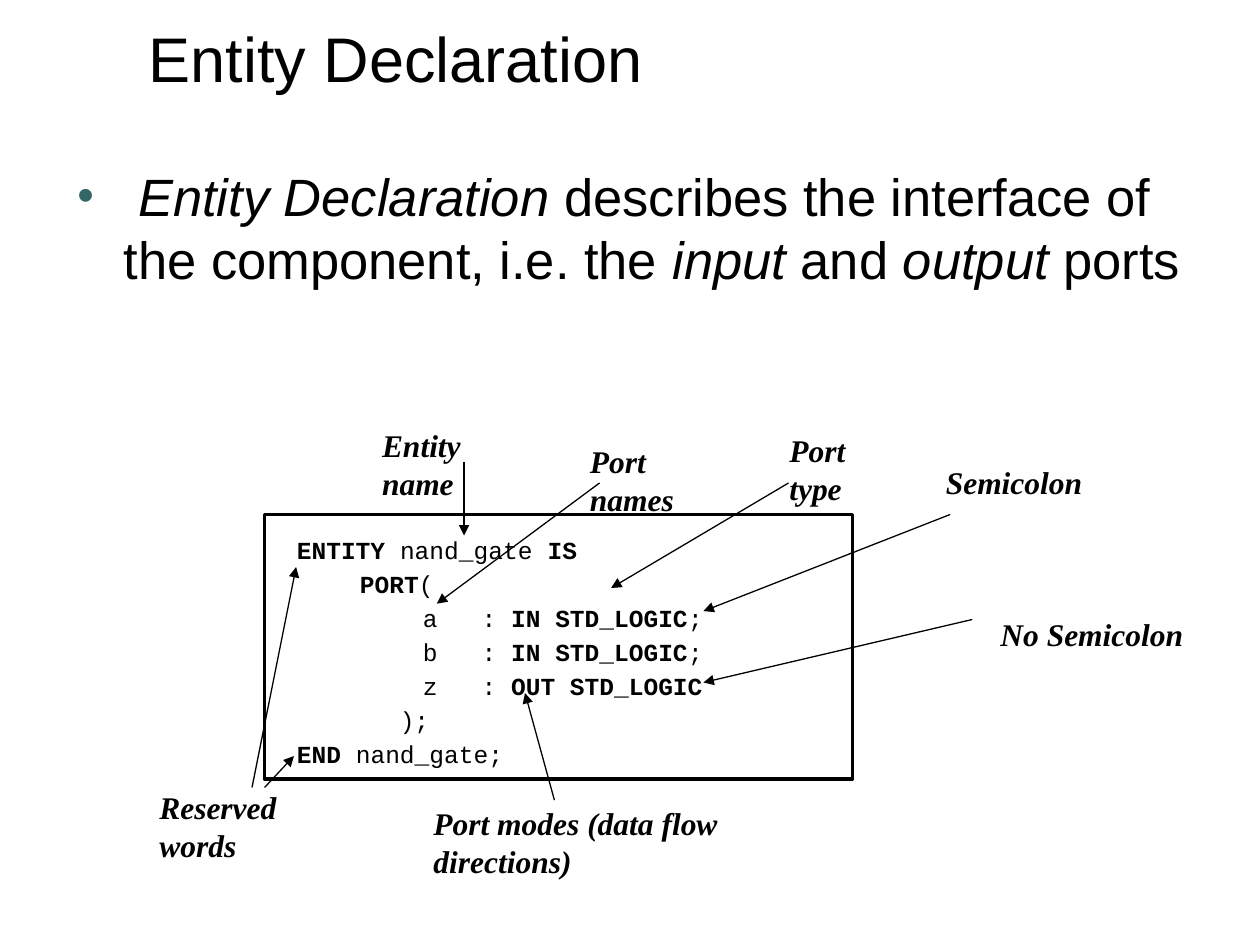
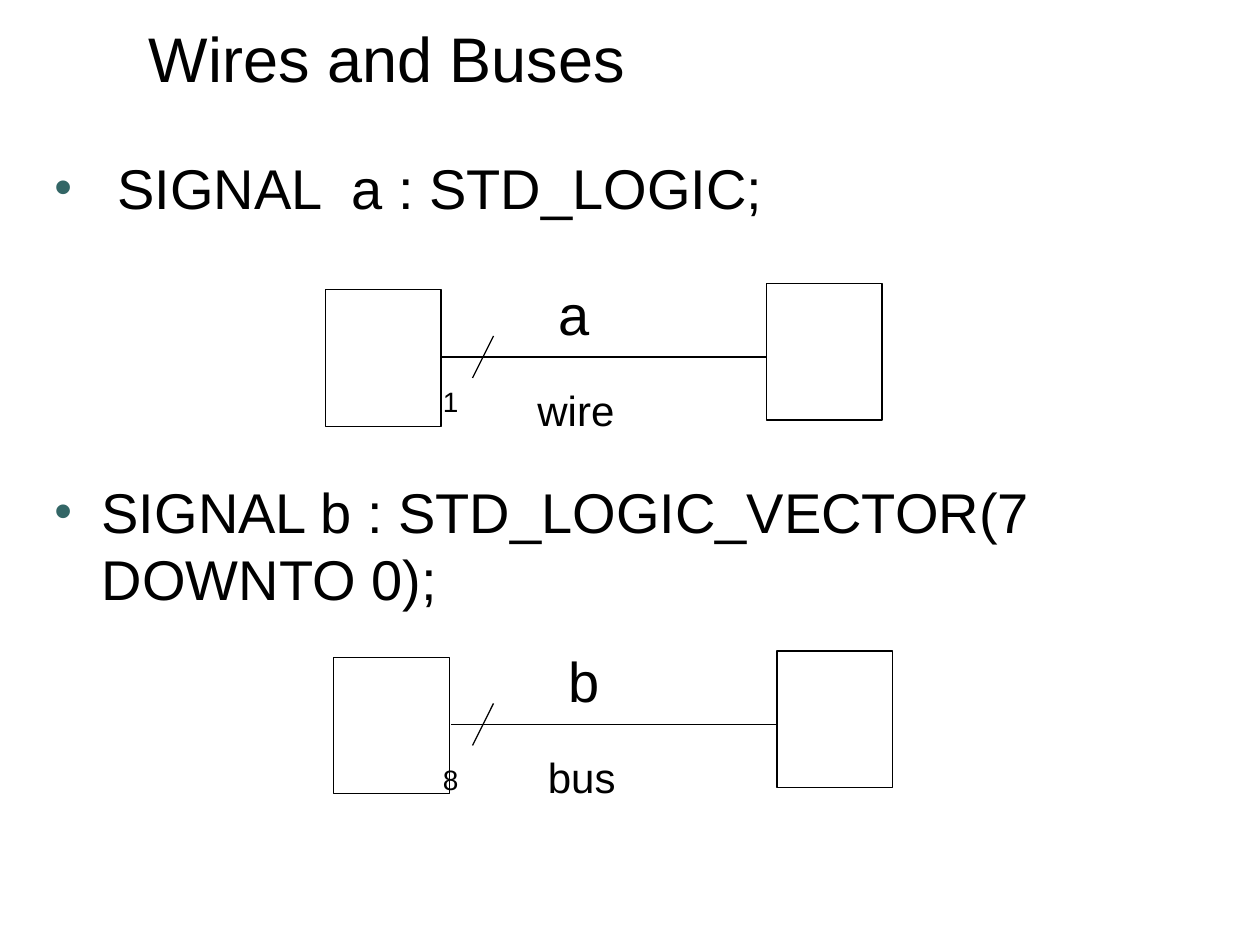
"""Builds two slides on VHDL entity declarations, wires and buses."""
import dataclasses

import pptx
import pptx.dml.color
import pptx.enum.shapes
import pptx.enum.text
import pptx.oxml
import pptx.oxml.ns
import pptx.util

EMU_PER_PX = 7620


@dataclasses.dataclass(frozen=True)
class Theme:
    ink: str = "000000"
    paper: str = "FFFFFF"
    bullet: str = "336666"
    sans: str = "Arial"
    serif: str = "Times New Roman"
    mono: str = "Courier New"
    title: int = 36
    definition: int = 30
    code: int = 14
    callout: int = 18
    signal: int = 32
    caption: int = 24
    width_mark: int = 16
    leading: float = 1.2
    thin: float = 0.75
    thick: float = 2


def px(length):
    return pptx.util.Emu(length * EMU_PER_PX)


def add_xml(parent, tag, **attributes):
    element = parent.makeelement(pptx.oxml.ns.qn(tag), attributes)
    parent.append(element)
    return element


class Deck:
    def __init__(self, theme):
        self.theme = theme
        self.presentation = pptx.Presentation()
        self.presentation.slide_width = px(1200)
        self.presentation.slide_height = px(900)
        self.slide = None

    def color(self, value):
        return pptx.dml.color.RGBColor.from_string(value)

    def start_slide(self, heading):
        self.slide = self.presentation.slides.add_slide(self.presentation.slide_layouts[6])
        self.slide.background.fill.solid()
        self.slide.background.fill.fore_color.rgb = self.color(self.theme.paper)
        frame = self.frame(130, 10, 1030, 90)
        frame.vertical_anchor = pptx.enum.text.MSO_ANCHOR.MIDDLE
        self.fill_paragraph(frame.paragraphs[0], heading, self.theme.title)

    def frame(self, left, top, width, height, wrap=True, grow=False):
        frame = self.slide.shapes.add_textbox(px(left), px(top), px(width), px(height)).text_frame
        frame.word_wrap = wrap
        sizing = pptx.enum.text.MSO_AUTO_SIZE
        frame.auto_size = sizing.SHAPE_TO_FIT_TEXT if grow else sizing.NONE
        frame.margin_left = frame.margin_right = px(12)
        frame.margin_top = frame.margin_bottom = px(6)
        return frame

    def fill_paragraph(self, paragraph, text, size, font=None, bold=False, italic=False,
                       emphasis=None, before=0, leading=None):
        """Fill a paragraph; parts between asterisks take the emphasis."""
        paragraph.line_spacing = pptx.util.Pt(round(size * (leading or self.theme.leading), 1))
        paragraph.space_before = pptx.util.Pt(before)
        for index, part in enumerate(text.split("*")):
            if not part:
                continue
            stressed = emphasis if index % 2 else None
            run = paragraph.add_run()
            run.text = part
            run.font.size = pptx.util.Pt(size)
            run.font.name = font or self.theme.sans
            run.font.color.rgb = self.color(self.theme.ink)
            run.font.bold = bold or stressed == "bold"
            run.font.italic = italic or stressed == "italic"

    def indent(self, paragraph, margin, first):
        properties = paragraph._p.get_or_add_pPr()
        properties.set("marL", str(px(margin)))
        properties.set("indent", str(px(first)))
        return properties

    def bullets(self, left, top, width, height, size, items, margin, hanging):
        frame = self.frame(left, top, width, height)
        for index, (text, before) in enumerate(items):
            paragraph = frame.add_paragraph() if index else frame.paragraphs[0]
            self.fill_paragraph(paragraph, text, size, emphasis="italic", before=before)
            properties = self.indent(paragraph, margin, -hanging)
            add_xml(add_xml(properties, "a:buClr"), "a:srgbClr", val=self.theme.bullet)
            add_xml(properties, "a:buSzPct", val="90000")
            add_xml(properties, "a:buFont", typeface=self.theme.sans)
            add_xml(properties, "a:buChar", char="•")

    def code(self, left, top, width, height, lines, stops):
        frame = self.frame(left, top, width, height, grow=True)
        for index, line in enumerate(lines):
            paragraph = frame.add_paragraph() if index else frame.paragraphs[0]
            self.fill_paragraph(paragraph, line, self.theme.code, self.theme.mono,
                                emphasis="bold", before=3.5, leading=1.14)
            tabs = add_xml(paragraph._p.get_or_add_pPr(), "a:tabLst")
            for stop in stops:
                add_xml(tabs, "a:tab", pos=str(px(stop)), algn="l")

    def callout(self, text, left, top, width):
        frame = self.frame(left, top, width, 48, wrap=False, grow=True)
        self.fill_paragraph(frame.paragraphs[0], text, self.theme.callout, self.theme.serif,
                            bold=True, italic=True)

    def label(self, text, size, left, top, width, height):
        frame = self.frame(left, top, width, height, wrap=False, grow=True)
        self.fill_paragraph(frame.paragraphs[0], text, size, before=size // 4)
        self.indent(frame.paragraphs[0], 150, -30)

    def box(self, left, top, width, height, weight):
        box = self.slide.shapes.add_shape(pptx.enum.shapes.MSO_SHAPE.RECTANGLE,
                                          px(left), px(top), px(width), px(height))
        box.shadow.inherit = False
        box.fill.background()
        box.line.color.rgb = self.color(self.theme.ink)
        box.line.width = pptx.util.Pt(weight)

    def line(self, x1, y1, x2, y2, arrow=False):
        line = self.slide.shapes.add_connector(pptx.enum.shapes.MSO_CONNECTOR.STRAIGHT,
                                               px(x1), px(y1), px(x2), px(y2))
        line.line.color.rgb = self.color(self.theme.ink)
        line.line.width = pptx.util.Pt(self.theme.thin)
        if arrow:
            add_xml(line.line._get_or_add_ln(), "a:tailEnd", type="triangle")
        add_xml(line._element.spPr, "a:effectLst")

    def circuit(self, name, kind, width_mark, top, shift, source_left, mark_top):
        theme = self.theme
        self.line(420 + shift, top + 70, 730 + shift, top + 70)
        self.label(kind, theme.caption, 380 + shift, top + 90, 277, 60)
        self.label(name, theme.signal, 400 + shift, top - 10, 234, 77)
        self.box(source_left, top + 6, 110, 130, theme.thin)
        self.box(730 + shift, top, 110, 130, theme.thin)
        self.line(470, top + 50, 450, top + 90)
        self.label(width_mark, theme.width_mark, 290, mark_top, 218, 44)


def entity_slide(deck):
    deck.start_slide("Entity Declaration")
    definition = (" *Entity Declaration* describes the interface of the component, "
                  "i.e. the *input* and *output* ports")
    deck.bullets(50, 150, 1100, 690, deck.theme.definition, [(definition, 7.5)],
                 margin=56, hanging=44)
    entity = [
        "*ENTITY* nand_gate *IS*",
        "\t*PORT*(",
        "\t\t\ta\t: *IN STD_LOGIC*;",
        "\t\t\tb\t: *IN STD_LOGIC*;",
        "\t\t\tz\t: *OUT STD_LOGIC*",
        "\t\t);",
        "*END* nand_gate;",
    ]
    deck.code(271, 505, 521, 233, entity, stops=(60, 98, 120, 176))
    deck.box(252, 490, 560, 252, deck.theme.thick)
    callouts = [
        ("Reserved words", 140, 745, 216, [(240, 750, 282, 540), (252, 750, 280, 720)]),
        ("Entity name", 352, 400, 174, [(442, 440, 442, 510)]),
        ("Port names", 550, 415, 164, [(571, 460, 416, 575)]),
        ("Port type", 740, 405, 134, [(751, 460, 582, 560)]),
        ("Semicolon", 889, 435, 154, [(905, 490, 670, 582)]),
        ("No Semicolon", 941, 580, 198, [(926, 590, 670, 650)]),
        ("Port modes (data flow directions)", 401, 760, 433, [(528, 762, 500, 660)]),
    ]
    for text, left, top, width, arrows in callouts:
        for ends in arrows:
            deck.line(*ends, arrow=True)
        deck.callout(text, left, top, width)


def signal_slide(deck):
    deck.start_slide("Wires and Buses")
    signals = [(" SIGNAL  a : STD_LOGIC;", 8),
               ("SIGNAL b : STD_LOGIC_VECTOR(7 DOWNTO 0);", 147)]
    deck.bullets(40, 140, 1120, 720, deck.theme.signal, signals, margin=45, hanging=45)
    deck.circuit("a", "wire", "1", top=270, shift=0, source_left=310, mark_top=360)
    deck.circuit("b", "bus", "8", top=620, shift=10, source_left=318, mark_top=720)


def main():
    deck = Deck(Theme())
    entity_slide(deck)
    signal_slide(deck)
    deck.presentation.save("out.pptx")


if __name__ == "__main__":
    main()
